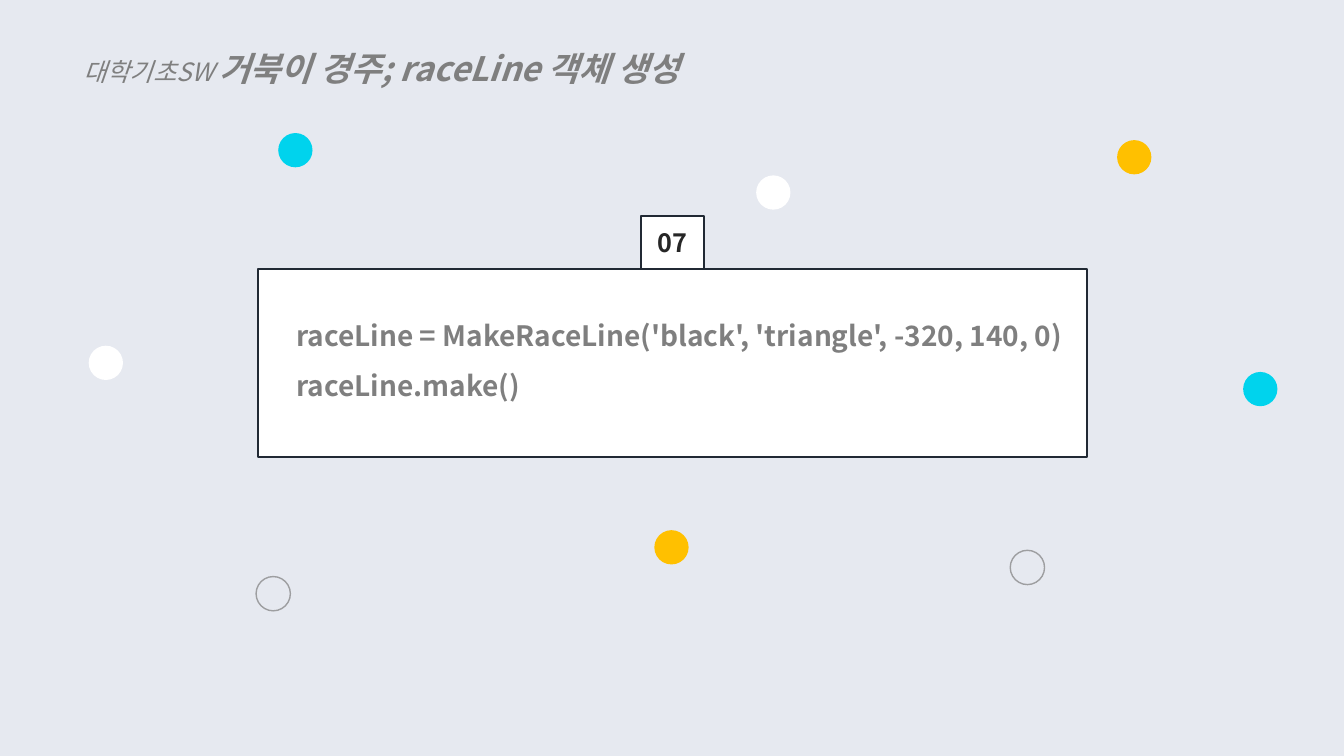
from lxml import etree
from pptx import Presentation
from pptx.dml.color import RGBColor
from pptx.enum.shapes import MSO_SHAPE
from pptx.enum.text import MSO_ANCHOR, PP_ALIGN
from pptx.oxml.ns import qn
from pptx.util import Inches, Pt

OVAL = MSO_SHAPE.OVAL
ROUNDED = MSO_SHAPE.ROUNDED_RECTANGLE
MIDDLE = MSO_ANCHOR.MIDDLE
CENTER = PP_ALIGN.CENTER

FONT = "Noto Sans CJK KR"
COLORS = {
    "background": "E6E9F0",
    "white": "FFFFFF",
    "navy": "212934",
    "gray": "7F7F7F",
    "dark": "262626",
    "cyan": "00D3ED",
    "amber": "FFC000",
}
DOT_SIZE = 0.34
# left, top, fill (None for a ring)
DOTS = [
    (2.76, 1.32, "cyan"),
    (2.54, 5.72, None),
    (11.08, 1.39, "amber"),
    (10.02, 5.46, None),
    (0.88, 3.43, "white"),
    (12.33, 3.69, "cyan"),
    (7.5, 1.74, "white"),
    (6.49, 5.26, "amber"),
]
CODE_LINES = [
    "raceLine = MakeRaceLine('black', 'triangle', -320, 140, 0)",
    "raceLine.make()",
]


class SlideBuilder:
    def __init__(self, presentation):
        self.slide = presentation.slides.add_slide(presentation.slide_layouts[6])
        fill = self.slide.background.fill
        fill.solid()
        fill.fore_color.rgb = self.color("background")

    def color(self, name):
        return RGBColor.from_string(COLORS[name])

    def style_run(self, run, size, color, bold=False, italic=False):
        font = run.font
        font.name = FONT
        font.size = Pt(size)
        font.bold = bold
        font.italic = italic
        font.color.rgb = self.color(color)
        east_asian = etree.SubElement(run._r.get_or_add_rPr(), qn("a:ea"))
        east_asian.set("typeface", FONT)

    def text_box(self, left, top, width, height):
        box = self.slide.shapes.add_textbox(
            Inches(left), Inches(top), Inches(width), Inches(height))
        box.text_frame.word_wrap = True
        return box.text_frame

    def shape(self, kind, left, top, width, height, fill=None):
        shape = self.slide.shapes.add_shape(
            kind, Inches(left), Inches(top), Inches(width), Inches(height))
        shape.shadow.inherit = False
        if fill:
            shape.fill.solid()
            shape.fill.fore_color.rgb = self.color(fill)
        else:
            shape.fill.background()
        return shape

    def panel(self, left, top, width, height):
        """Add a white, square-cornered box with a navy outline."""
        panel = self.shape(ROUNDED, left, top, width, height, "white")
        panel.adjustments[0] = 0
        panel.line.color.rgb = self.color("navy")
        panel.line.width = Pt(1.5)
        return panel

    def dot(self, left, top, fill):
        dot = self.shape(OVAL, left, top, DOT_SIZE, DOT_SIZE, fill)
        if fill:
            dot.line.fill.background()
            return
        dot.line.color.rgb = self.color("gray")
        dot.line.width = Pt(1)
        line_color = dot.line._ln.find(".//" + qn("a:srgbClr"))
        etree.SubElement(line_color, qn("a:alpha")).set("val", "70000")

    def title(self, prefix, heading):
        paragraph = self.text_box(0.73, 0.23, 6.77, 0.63).paragraphs[0]
        paragraph.line_spacing = 1.5
        for text, size, bold in ((prefix, 18, False), (heading, 24, True)):
            run = paragraph.add_run()
            run.text = text
            self.style_run(run, size, "gray", bold, italic=True)

    def number_tab(self, number):
        text_frame = self.panel(6.36, 2.14, 0.62, 0.53).text_frame
        text_frame.text = number
        text_frame.vertical_anchor = MIDDLE
        paragraph = text_frame.paragraphs[0]
        paragraph.alignment = CENTER
        self.style_run(paragraph.runs[0], 18, "dark", bold=True)

    def code(self, lines):
        text_frame = self.text_box(2.84, 2.94, 7.88, 1.33)
        text_frame.text = "\n".join(lines)
        for paragraph in text_frame.paragraphs:
            paragraph.line_spacing = 1.5
            self.style_run(paragraph.runs[0], 20, "gray", bold=True)


def main():
    presentation = Presentation()
    presentation.slide_width = Inches(13.33)
    presentation.slide_height = Inches(7.5)

    builder = SlideBuilder(presentation)
    builder.title("대학기초SW ", "거북이 경주; raceLine 객체 생성")
    builder.panel(2.56, 2.67, 8.22, 1.86)
    builder.number_tab("07")
    builder.code(CODE_LINES)
    for left, top, fill in DOTS:
        builder.dot(left, top, fill)

    presentation.save("out.pptx")


if __name__ == "__main__":
    main()
